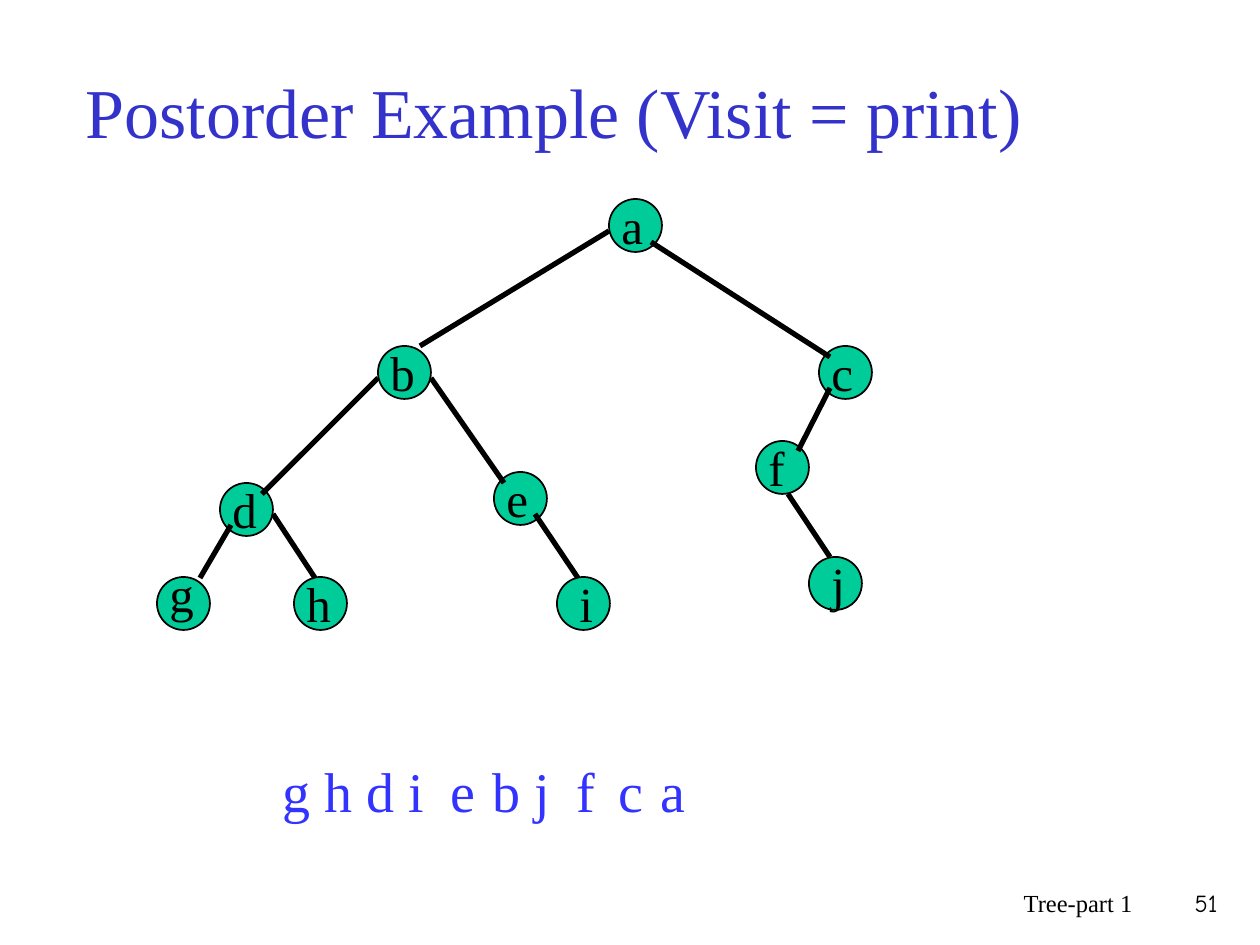
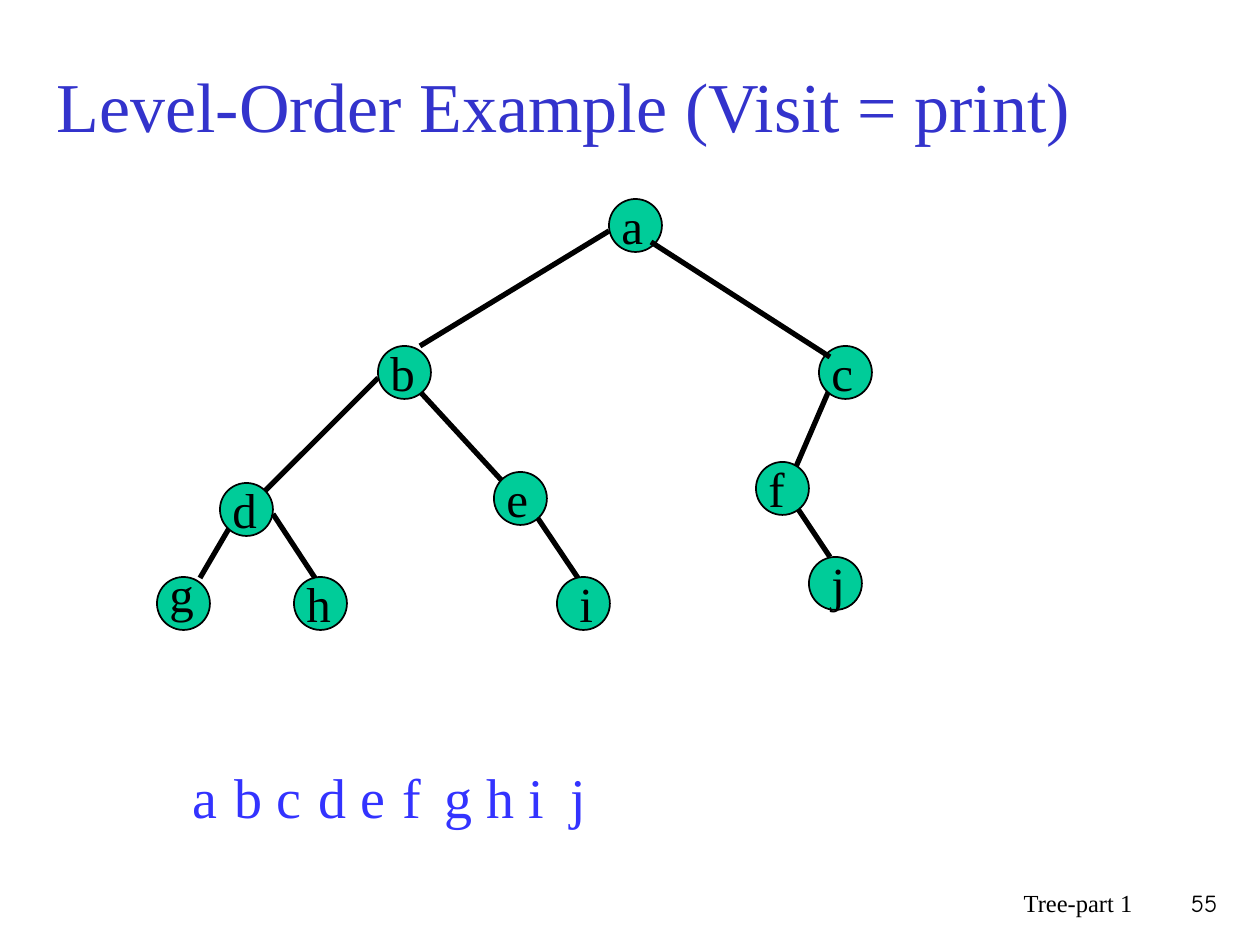
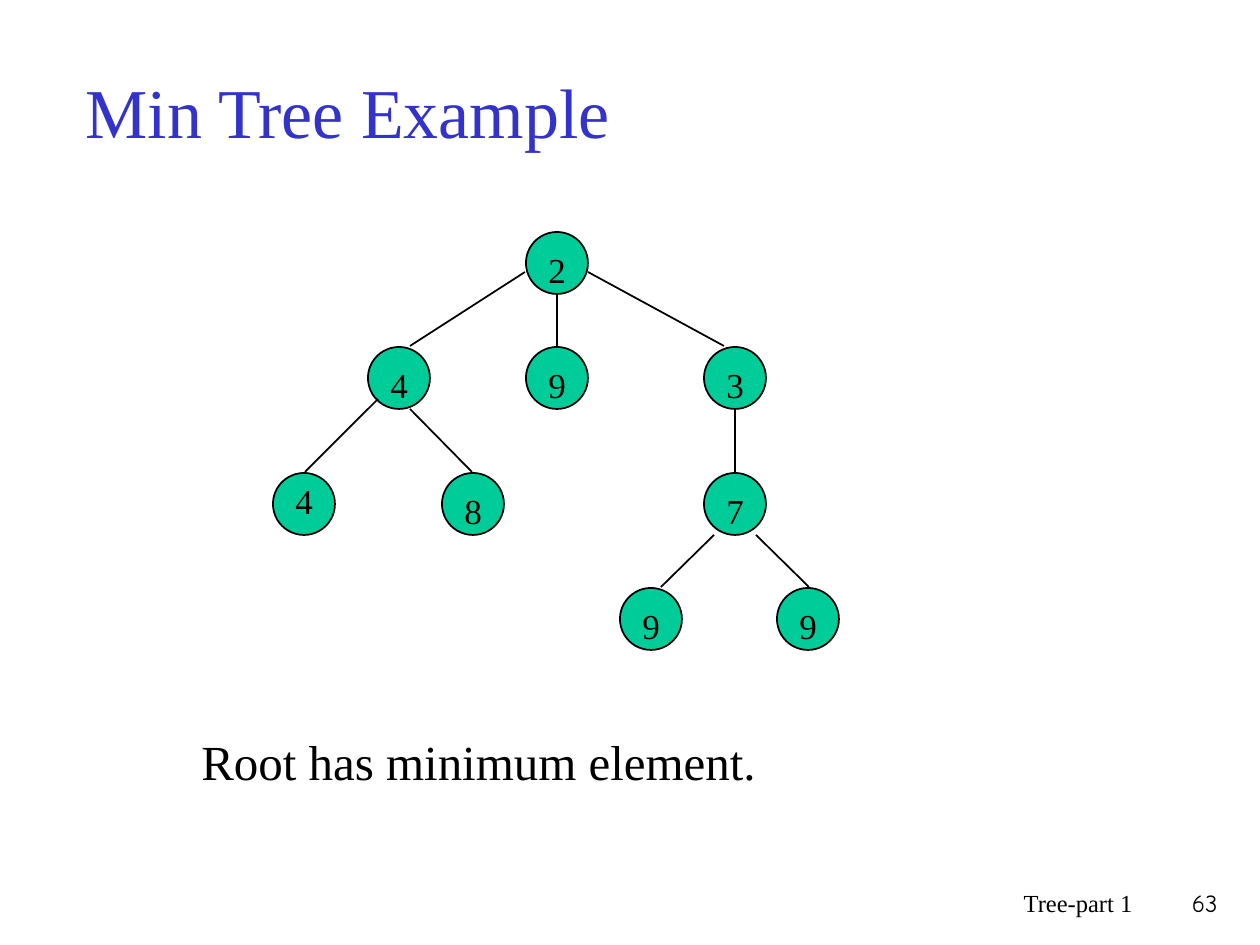
from dataclasses import dataclass
from lxml.etree import SubElement
from pptx import Presentation
from pptx.dml.color import RGBColor as Rgb
from pptx.enum.shapes import MSO_CONNECTOR as Conn, MSO_SHAPE as Shape
from pptx.enum.text import MSO_ANCHOR as Anchor, MSO_AUTO_SIZE as Fit, PP_ALIGN as Align
from pptx.oxml.ns import qn
from pptx.util import Inches, Pt

SCALE = Inches(1) / 126


@dataclass(frozen=True)
class Theme:
    ink: str = "000000"
    head: str = "3333CC"
    trace: str = "3333FF"
    node: str = "00CC99"
    serif: str = "Times New Roman"
    comic: str = "Comic Neue"
    title: int = 40
    order: int = 32
    body: int = 28
    small: int = 20
    foot: int = 14
    thin: int = 1
    thick: int = 3


T = Theme()

NODES = {
    "a": (609, 199), "b": (378, 346), "c": (819, 346), "d": (220, 483), "e": (494, 472),
    "f": (756, 441), "g": (157, 577), "h": (294, 577), "i": (557, 577), "j": (809, 557),
}
SHIFTS = {"g": (0, -20), "i": (10, -10), "j": (10, -10)}
LINKS = {
    "ab": (609, 231, 420, 346), "ac": (651, 242, 830, 357), "bd": (378, 378, 262, 494),
    "be": (431, 378, 504, 483), "cf": (830, 388, 798, 451), "dg": (231, 525, 200, 578),
    "dh": (273, 514, 315, 578), "ei": (535, 514, 578, 578), "fj": (788, 494, 830, 557),
}
LEVEL_NODES = NODES | {"f": (756, 462)}
LEVEL_LINKS = LINKS | {"be": (412, 383, 504, 483), "cf": (830, 388, 789, 483)}

MIN_NODES = [
    ("2", 526, 232), ("4", 368, 347), ("9", 526, 347), ("3", 704, 347), ("4", 273, 473),
    ("8", 442, 473), ("7", 704, 473), ("9", 620, 588), ("9", 777, 588),
]
MIN_LINKS = [
    (525, 272, 410, 346), (557, 293, 557, 346), (588, 272, 724, 346), (378, 399, 305, 472),
    (410, 409, 472, 472), (735, 409, 735, 472), (714, 535, 661, 587), (756, 535, 809, 587),
]


def px(*vals):
    return [round(v * SCALE) for v in vals]


def put(obj, vals):
    for key, val in vals.items():
        setattr(obj, key, val)


def style(para, words, size, color, face=T.serif, align=Align.LEFT):
    para.alignment = align
    run = para.add_run()
    run.text = words
    put(run.font, {"size": Pt(size), "name": face, "bold": False})
    run.font.color.rgb = Rgb.from_string(color)


def text(slide, words, box, size, color=T.ink, before=0, fit=Fit.NONE, hang=0, **look):
    frame = slide.shapes.add_textbox(*px(*box)).text_frame
    put(frame, {"word_wrap": True, "auto_size": fit, "vertical_anchor": Anchor.TOP})
    para = frame.paragraphs[0]
    props = para._p.get_or_add_pPr()
    if hang:
        props.set("marL", str(px(hang)[0]))
        props.set("indent", str(px(-hang)[0]))
    if before:
        gap = SubElement(props, qn("a:spcBef"))
        SubElement(gap, qn("a:spcPct")).set("val", str(before * 1000))
    style(para, words, size, color, **look)


def label(slide, words, box, size, color=T.ink):
    text(slide, words, box, size, color, before=50, fit=Fit.SHAPE_TO_FIT_TEXT)


def circle(slide, x, y, side):
    dot = slide.shapes.add_shape(Shape.OVAL, *px(x, y, side, side))
    dot.shadow.inherit = False
    dot.fill.solid()
    dot.fill.fore_color.rgb = Rgb.from_string(T.node)
    dot.line.color.rgb = Rgb.from_string(T.ink)
    dot.line.width = Pt(T.thin)


def link(slide, ends, width):
    edge = slide.shapes.add_connector(Conn.STRAIGHT, *px(*ends))
    edge.line.color.rgb = Rgb.from_string(T.ink)
    edge.line.width = Pt(width)
    SubElement(edge._element.spPr, qn("a:effectLst"))


def page(deck, title, box, number):
    slide = deck.slides.add_slide(deck.slide_layouts[5])
    head = slide.shapes.title
    put(head, dict(zip(("left", "top", "width", "height"), px(*box))))
    put(head.text_frame, {"word_wrap": True, "auto_size": Fit.NONE,
                          "vertical_anchor": Anchor.MIDDLE})
    style(head.text_frame.paragraphs[0], title, T.title, T.head)
    text(slide, "Tree-part 1", (746, 882, 399, 63), T.foot, align=Align.RIGHT)
    text(slide, number, (1144, 882, 86, 63), T.foot, face=T.comic, align=Align.RIGHT)
    return slide


def tree(slide, nodes, links, under=()):
    for name in under:
        link(slide, links[name], T.thick)
    for x, y in nodes.values():
        circle(slide, x, y, 53)
    for name, ends in links.items():
        if name not in under:
            link(slide, ends, T.thick)
    for name, (x, y) in nodes.items():
        dx, dy = SHIFTS.get(name, (0, -10))
        label(slide, name, (x + dx, y + dy, 105, 72), T.body)


def trace(slide, names, left, top):
    for k, name in enumerate(names):
        label(slide, name, (left + 42 * k, top, 53, 79), T.order, T.trace)


def heap(slide):
    for _, x, y in MIN_NODES:
        circle(slide, x, y, 62)
    for ends in MIN_LINKS:
        link(slide, ends, T.thin)
    for k, (value, x, y) in enumerate(MIN_NODES):
        drop = 0 if k == 4 else 10
        label(slide, value, (x + 10, y + drop, 42, 54), T.small)


def main():
    deck = Presentation()
    put(deck, {"slide_width": Inches(10), "slide_height": Inches(7.5)})
    usual = (73, 32, 1071, 157)

    post = page(deck, "Postorder Example (Visit = print)", usual, "51")
    tree(post, NODES, LINKS)
    trace(post, "ghdiebjfca", 270, 750)

    level = page(deck, "Level-Order Example (Visit = print)", (44, 26, 1176, 157), "55")
    tree(level, LEVEL_NODES, LEVEL_LINKS, ("be", "ei", "cf", "fj", "bd", "dg"))
    trace(level, "abcdefghij", 180, 756)

    least = page(deck, "Min Tree Example", usual, "63")
    heap(least)
    text(least, "Root has minimum element.", (189, 725, 882, 116), T.body, before=20, hang=48)

    deck.save("out.pptx")


main()
